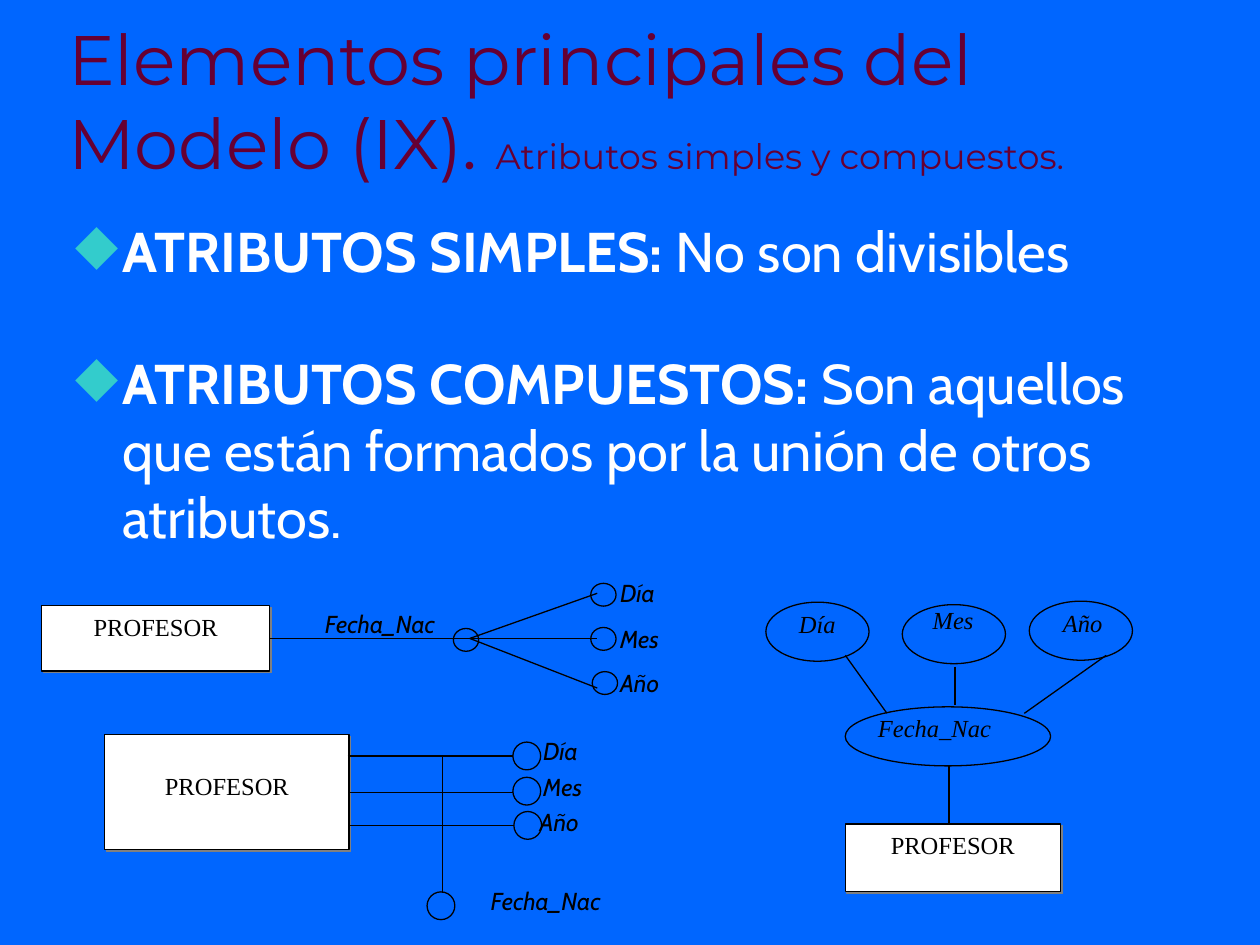
"""Build the slide on simple and composite attributes of the entity model."""
from lxml.etree import SubElement
from pptx import Presentation
from pptx.dml.color import RGBColor
from pptx.enum.shapes import MSO_CONNECTOR, MSO_SHAPE
from pptx.enum.text import MSO_ANCHOR, MSO_AUTO_SIZE, PP_ALIGN
from pptx.oxml import parse_xml
from pptx.oxml.ns import nsdecls, qn
from pptx.util import Cm, Pt

BLUE = RGBColor(0x00, 0x66, 0xFF)
MAROON = RGBColor(0x66, 0x00, 0x33)
TEAL = RGBColor(0x33, 0xCC, 0xCC)
GRAY = RGBColor(0x80, 0x80, 0x80)
WHITE = RGBColor(0xFF, 0xFF, 0xFF)
BLACK = RGBColor(0x00, 0x00, 0x00)

LEFT, CENTER = PP_ALIGN.LEFT, PP_ALIGN.CENTER
SERIF = {"name": "Times New Roman", "size": Pt(14), "italic": False}
SERIF_ITALIC = {**SERIF, "italic": True}
CABIN_ITALIC = {**SERIF_ITALIC, "name": "Cabin"}


def write(paragraph, text, color, formats):
    run = paragraph.add_run()
    run.text = text
    run.font.color.rgb = color
    for attribute, value in formats.items():
        setattr(run.font, attribute, value)


def add_line(x1, y1, x2, y2):
    line = slide.shapes.add_connector(
        MSO_CONNECTOR.STRAIGHT, Cm(x1), Cm(y1), Cm(x2), Cm(y2))
    line.line.color.rgb = BLACK
    line.line.width = Pt(0.75)
    SubElement(line._element.spPr, qn("a:effectLst"))
    return line


presentation = Presentation()
presentation.slide_width = Cm(25.4)
presentation.slide_height = Cm(19.05)
slide = presentation.slides.add_slide(presentation.slide_layouts[5])
slide.background.fill.solid()
slide.background.fill.fore_color.rgb = BLUE

title = slide.shapes.title
title.left, title.top, title.width, title.height = Cm(1.12), Cm(0.64), Cm(23.01), Cm(3.18)
title.text_frame.auto_size = MSO_AUTO_SIZE.NONE
title.text_frame.vertical_anchor = MSO_ANCHOR.BOTTOM
paragraph = title.text_frame.paragraphs[0]
paragraph.alignment = LEFT
for text, size in (("Elementos principales del Modelo (IX). ", 40),
                   ("Atributos simples y compuestos.", 20)):
    write(paragraph, text, MAROON, {"name": "Montserrat", "size": Pt(size)})

body = slide.shapes.add_textbox(Cm(1.27), Cm(4.24), Cm(23.7), Cm(14.4))
frame = body.text_frame
frame.word_wrap = True
definitions = (
    ("ATRIBUTOS SIMPLES:", " No son divisibles", 0),
    ("ATRIBUTOS COMPUESTOS:",
     " Son aquellos que están formados por la unión de otros atributos.", 37),
)
for index, (term, meaning, space) in enumerate(definitions):
    paragraph = frame.add_paragraph() if index else frame.paragraphs[0]
    paragraph.space_before = Pt(space)
    properties = paragraph._p.get_or_add_pPr()
    properties.set("marL", str(Cm(0.95)))
    properties.set("indent", str(-Cm(0.95)))
    bullet_color = SubElement(properties, qn("a:buClr"))
    SubElement(bullet_color, qn("a:srgbClr"), val=str(TEAL))
    SubElement(properties, qn("a:buChar"), char="◆")
    for text, bold in ((term, True), (meaning, False)):
        write(paragraph, text, WHITE, {"name": "Cabin", "size": Pt(32), "bold": bold})

entities = []
for left, top, width, height, inset in (
        (0.84, 12.21, 4.6, 1.32, 0.13),
        (2.11, 14.81, 4.93, 2.32, 0.73),
        (17.04, 16.61, 4.34, 1.37, 0.13)):
    entity = slide.shapes.add_shape(
        MSO_SHAPE.RECTANGLE, Cm(left), Cm(top), Cm(width), Cm(height))
    entity.fill.solid()
    entity.fill.fore_color.rgb = WHITE
    entity.line.color.rgb = BLACK
    entity.line.width = Pt(0.75)
    entity._element.spPr.append(parse_xml(
        f'<a:effectLst {nsdecls("a")}><a:outerShdw dist="{Pt(1.4)}" dir="2700000" '
        f'algn="ctr" rotWithShape="0"><a:srgbClr val="{GRAY}"/></a:outerShdw></a:effectLst>'))
    entity.text_frame.vertical_anchor = MSO_ANCHOR.TOP
    entity.text_frame.margin_top = Cm(inset)
    paragraph = entity.text_frame.paragraphs[0]
    paragraph.alignment = CENTER
    write(paragraph, "PROFESOR", BLACK, SERIF)
    entities.append(entity)

ellipse_groups = (
    (0.51, 0.46, ((11.91, 11.76), (11.91, 12.65), (11.94, 13.54), (9.14, 12.67))),
    (0.56, 0.56, ((10.34, 14.96), (10.34, 15.67), (10.36, 16.36), (8.61, 17.98))),
    (2.08, 1.19, ((15.44, 12.14), (18.19, 12.19), (20.75, 12.12))),
    (4.14, 1.19, ((17.04, 14.25),)),
)
for width, height, positions in ellipse_groups:
    for left, top in positions:
        ellipse = slide.shapes.add_shape(
            MSO_SHAPE.OVAL, Cm(left), Cm(top), Cm(width), Cm(height))
        ellipse.shadow.inherit = False
        ellipse.fill.background()
        ellipse.line.color.rgb = BLACK
        ellipse.line.width = Pt(0.75)

add_line(5.44, 12.87, 12.04, 12.87).begin_connect(entities[0], 3)
add_line(7.04, 15.97, 10.34, 15.97).begin_connect(entities[1], 3)
for ends in (
        (9.47, 12.87, 12.04, 11.96),
        (9.47, 12.87, 12.04, 13.87),
        (7.01, 15.24, 10.34, 15.24),
        (7.06, 16.64, 10.36, 16.64),
        (8.92, 15.24, 8.92, 18.01),
        (17.04, 13.21, 17.88, 14.38),
        (19.25, 13.44, 19.25, 14.22),
        (22.3, 13.21, 20.65, 14.38),
        (19.13, 15.44, 19.13, 16.61)):
    add_line(*ends)

label_groups = (
    (CABIN_ITALIC, 0.03, 0.03, CENTER, 3, (
        ("Fecha_Nac", 6.16, 12.24), ("Fecha_Nac", 9.5, 17.83))),
    (CABIN_ITALIC, 0.03, 0.03, LEFT, 3.9, (
        ("Día", 12.47, 11.63), ("Mes", 12.47, 12.55), ("Año", 12.47, 13.44),
        ("Día", 10.92, 14.81), ("Mes", 10.92, 15.54), ("Año", 10.85, 16.23))),
    (SERIF_ITALIC, 0.25, 0.13, CENTER, 3.73, (
        ("Día", 14.61, 12.14), ("Mes", 17.35, 12.07), ("Año", 19.96, 12.12))),
    (SERIF_ITALIC, 0.25, 0.13, LEFT, 3.73, (("Fecha_Nac", 17.45, 14.25),)),
)
for formats, side, edge, alignment, width, labels in label_groups:
    for text, left, top in labels:
        label = slide.shapes.add_textbox(Cm(left), Cm(top), Cm(width), Cm(0.8))
        frame = label.text_frame
        frame.word_wrap = True
        frame.margin_left = frame.margin_right = Cm(side)
        frame.margin_top = frame.margin_bottom = Cm(edge)
        frame.paragraphs[0].alignment = alignment
        write(frame.paragraphs[0], text, BLACK, formats)

presentation.save("out.pptx")
